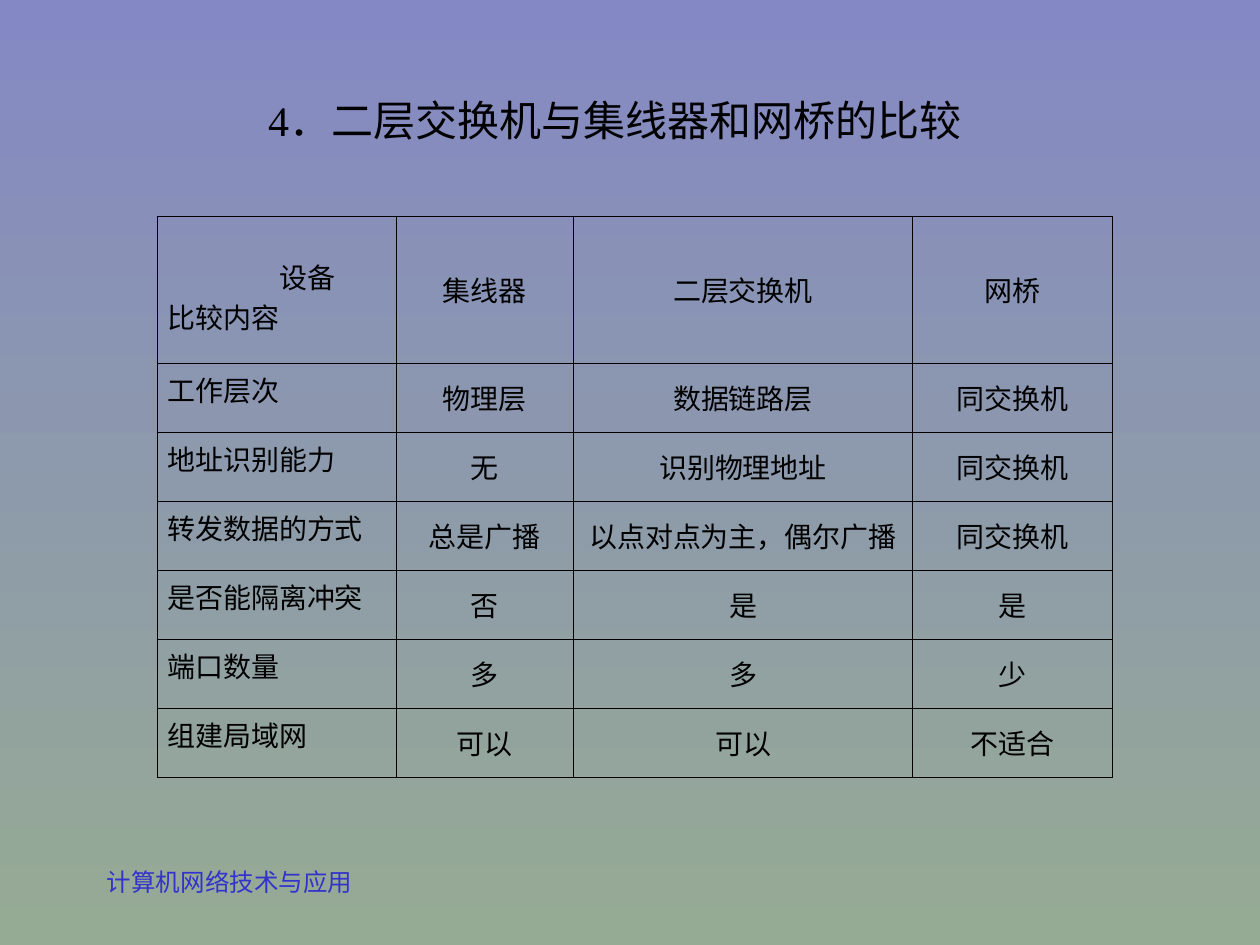
from dataclasses import dataclass

from lxml.etree import SubElement
from pptx import Presentation
from pptx.dml.color import RGBColor
from pptx.enum.text import MSO_ANCHOR, MSO_AUTO_SIZE, PP_ALIGN
from pptx.oxml.ns import qn
from pptx.slide import Slide
from pptx.table import _Cell
from pptx.text.text import _Paragraph
from pptx.util import Inches, Pt

COLORS = {
    "sky": "8488C4",
    "sage": "96AB94",
    "ink": "000000",
    "course": "3333CC",
}
FONT = "Times New Roman"
SLIDE_WIDTH = Inches(10)
SLIDE_HEIGHT = Inches(7.5)
TABLE_LEFT, TABLE_TOP = 12.5, 22.93
COLUMN_WIDTHS = (18.95, 14.05, 26.95, 15.8)
HEADER_HEIGHT, BODY_HEIGHT = 15.47, 7.31
CELL_SIZE = 16
BORDER_WIDTH = Pt(0.45)


@dataclass(frozen=True)
class Caption:
    text: str
    left: float
    top: float
    width: float
    height: float
    size: int
    color: str


@dataclass(frozen=True)
class Comparison:
    topic: str
    hub: str
    switch: str
    bridge: str

    def values(self) -> tuple[str, ...]:
        return self.hub, self.switch, self.bridge


CAPTIONS = (
    Caption("计算机网络技术与应用", 7.5, 91.07, 36.7, 6.67, 14, "course"),
    Caption("4．二层交换机与集线器和网桥的比较", 20.3, 9.33, 59.4, 6.67, 24, "ink"),
)
DEVICE_LABEL = "设备"
HEADER = Comparison("比较内容", "集线器", "二层交换机", "网桥")
COMPARISONS = (
    Comparison("工作层次", "物理层", "数据链路层", "同交换机"),
    Comparison("地址识别能力", "无", "识别物理地址", "同交换机"),
    Comparison("转发数据的方式", "总是广播", "以点对点为主，偶尔广播", "同交换机"),
    Comparison("是否能隔离冲突", "否", "是", "是"),
    Comparison("端口数量", "多", "多", "少"),
    Comparison("组建局域网", "可以", "可以", "不适合"),
)


def across(percent: float) -> int:
    return round(SLIDE_WIDTH * percent / 100)


def down(percent: float) -> int:
    return round(SLIDE_HEIGHT * percent / 100)


def write(paragraph: _Paragraph, text: str, size: int, color: str) -> None:
    run = paragraph.add_run()
    run.text = text
    run.font.name = FONT
    run.font.size = Pt(size)
    run.font.color.rgb = RGBColor.from_string(COLORS[color])


def paint_background(slide: Slide) -> None:
    fill = slide.background.fill
    fill.gradient()
    fill.gradient_angle = 270
    for stop, color in zip(fill.gradient_stops, ("sky", "sage")):
        stop.color.rgb = RGBColor.from_string(COLORS[color])


def draw_caption(slide: Slide, caption: Caption) -> None:
    frame = slide.shapes.add_textbox(
        across(caption.left), down(caption.top),
        across(caption.width), down(caption.height),
    ).text_frame
    frame.word_wrap = True
    frame.auto_size = MSO_AUTO_SIZE.SHAPE_TO_FIT_TEXT
    write(frame.paragraphs[0], caption.text, caption.size, caption.color)


def style_cell(cell: _Cell) -> None:
    properties = cell._tc.get_or_add_tcPr()
    for side in ("a:lnL", "a:lnR", "a:lnT", "a:lnB"):
        border = SubElement(properties, qn(side), w=str(BORDER_WIDTH))
        solid = SubElement(border, qn("a:solidFill"))
        SubElement(solid, qn("a:srgbClr"), val=COLORS["ink"])
    cell.fill.background()
    cell.margin_left = cell.margin_right = Inches(0.08)
    cell.margin_top = cell.margin_bottom = Inches(0.05)


def fill_topic(cell: _Cell, topic: str) -> None:
    style_cell(cell)
    paragraph = cell.text_frame.paragraphs[0]
    paragraph.alignment = PP_ALIGN.JUSTIFY
    write(paragraph, topic, CELL_SIZE, "ink")


def fill_value(cell: _Cell, value: str) -> None:
    style_cell(cell)
    cell.vertical_anchor = MSO_ANCHOR.MIDDLE
    paragraph = cell.text_frame.paragraphs[0]
    paragraph.alignment = PP_ALIGN.CENTER
    write(paragraph, value, CELL_SIZE, "ink")


def fill_corner(cell: _Cell) -> None:
    fill_topic(cell, DEVICE_LABEL)
    cell.margin_top = Inches(0.31)
    device = cell.text_frame.paragraphs[0]
    device._p.get_or_add_pPr().set("marL", str(Inches(0.89)))
    topic = cell.text_frame.add_paragraph()
    topic.alignment = PP_ALIGN.JUSTIFY
    write(topic, HEADER.topic, CELL_SIZE, "ink")


def draw_comparison_table(slide: Slide) -> None:
    rows = (HEADER, *COMPARISONS)
    heights = (HEADER_HEIGHT, *(BODY_HEIGHT for _ in COMPARISONS))
    table = slide.shapes.add_table(
        len(rows), len(COLUMN_WIDTHS), across(TABLE_LEFT), down(TABLE_TOP),
        across(sum(COLUMN_WIDTHS)), down(sum(heights)),
    ).table
    table.first_row = False
    table.horz_banding = False
    for column, width in zip(table.columns, COLUMN_WIDTHS):
        column.width = across(width)
    for row_index, (comparison, height) in enumerate(zip(rows, heights)):
        table.rows[row_index].height = down(height)
        topic_cell = table.cell(row_index, 0)
        if comparison is HEADER:
            fill_corner(topic_cell)
        else:
            fill_topic(topic_cell, comparison.topic)
        for column_index, value in enumerate(comparison.values(), start=1):
            fill_value(table.cell(row_index, column_index), value)


def main() -> None:
    presentation = Presentation()
    presentation.slide_width = SLIDE_WIDTH
    presentation.slide_height = SLIDE_HEIGHT
    slide = presentation.slides.add_slide(presentation.slide_layouts[6])
    paint_background(slide)
    for caption in CAPTIONS:
        draw_caption(slide, caption)
    draw_comparison_table(slide)
    presentation.save("out.pptx")


if __name__ == "__main__":
    main()
